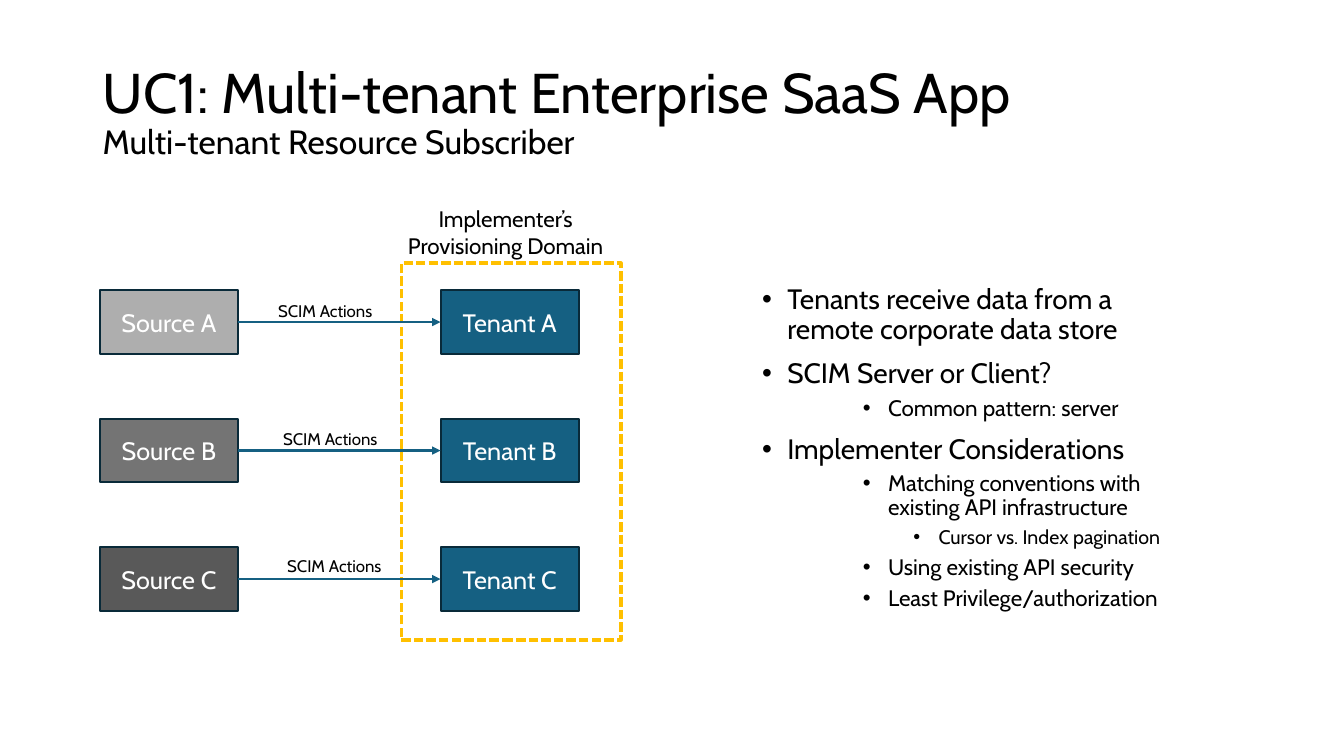
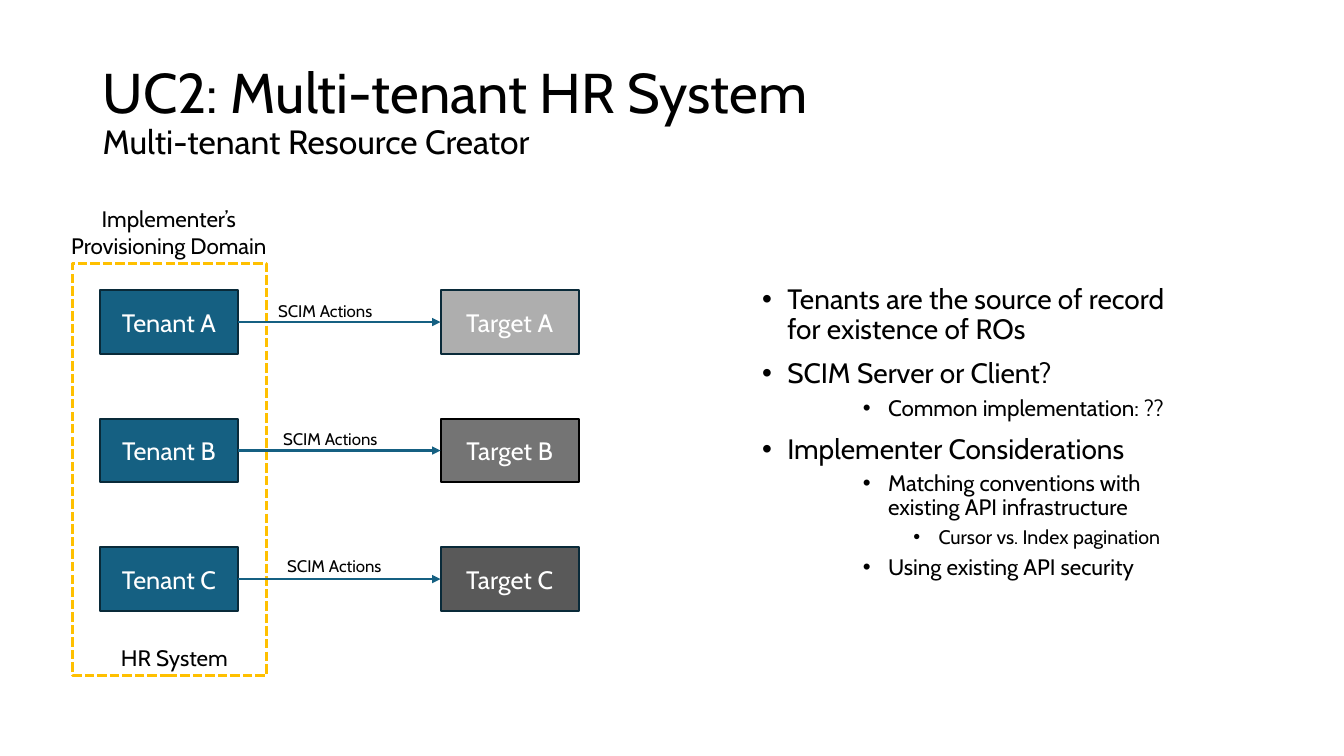
"""Build two slides on multi-tenant SCIM provisioning use cases."""
from dataclasses import dataclass
from typing import Optional

from lxml.etree import SubElement
from pptx import Presentation
from pptx.dml.color import RGBColor
from pptx.enum.dml import MSO_LINE
from pptx.enum.shapes import MSO_CONNECTOR, MSO_SHAPE
from pptx.enum.text import MSO_ANCHOR, PP_ALIGN
from pptx.oxml.ns import qn
from pptx.shapes.autoshape import Shape
from pptx.slide import Slide
from pptx.text.text import _Paragraph as Paragraph
from pptx.util import Inches, Pt

FONT = "Cabin"
BLACK = RGBColor(0x00, 0x00, 0x00)
WHITE = RGBColor(0xFF, 0xFF, 0xFF)
TEAL = RGBColor(0x15, 0x60, 0x82)
DARK_TEAL = RGBColor(0x09, 0x2A, 0x39)
AMBER = RGBColor(0xFF, 0xC0, 0x00)
GRAYS = (RGBColor(0xAE, 0xAE, 0xAE), RGBColor(0x74, 0x74, 0x74), RGBColor(0x59, 0x59, 0x59))

BOX_WIDTH, BOX_HEIGHT = 1.37, 0.63
LEFT_COLUMN, RIGHT_COLUMN = 0.99, 4.37
FIRST_ROW, LAST_ROW = 2.88, 5.43
ROW_PITCH = (LAST_ROW - FIRST_ROW) / 2
ACTION_SPOTS = ((2.66, 2.93), (2.71, 4.2), (2.75, 5.46))
RIGHT_SITE, LEFT_SITE = 3, 1


@dataclass(frozen=True)
class Area:
    """A rectangle on the slide, in inches."""
    left: float
    top: float
    width: float
    height: float

    def lengths(self) -> tuple[Inches, Inches, Inches, Inches]:
        """Return the four values as lengths."""
        return Inches(self.left), Inches(self.top), Inches(self.width), Inches(self.height)


@dataclass(frozen=True)
class Level:
    """The look of one bullet level."""
    indent: float
    size: int
    space_before: int


@dataclass(frozen=True)
class Column:
    """One column of system boxes."""
    role: str
    fills: tuple[RGBColor, ...]
    outlines: tuple[RGBColor, ...] = (DARK_TEAL,) * 3


@dataclass(frozen=True)
class Caption:
    """A centred label of the provisioning domain."""
    text: str
    area: Area


@dataclass(frozen=True)
class UseCase:
    """The content of one slide."""
    title: str
    subtitle: str
    left: Column
    right: Column
    domain: Area
    captions: tuple[Caption, ...]
    points: tuple[tuple[int, str], ...]


TITLE_AREA = Area(0.92, 0.4, 11.5, 1.45)
POINTS_AREA = Area(7.46, 2.78, 4.58, 3.41)
LEVELS = {0: Level(0.25, 20, 10), 2: Level(1.25, 16, 5), 3: Level(1.75, 14, 5)}
TENANTS = Column("Tenant", (TEAL,) * 3)
DOMAIN_NAME = "Implementer’s\nProvisioning Domain"
CONSIDERATIONS = (
    (0, "Implementer Considerations"),
    (2, "Matching conventions with existing API infrastructure"),
    (3, "Cursor vs. Index pagination"),
    (2, "Using existing API security"),
)
QUESTION = (0, "SCIM Server or Client?")

USE_CASES = (
    UseCase(
        "UC1: Multi-tenant Enterprise SaaS App", "Multi-tenant Resource Subscriber",
        Column("Source", GRAYS), TENANTS,
        Area(3.98, 2.61, 2.18, 3.74),
        (Caption(DOMAIN_NAME, Area(3.92, 1.99, 2.19, 0.64)),),
        ((0, "Tenants receive data from a remote corporate data store"), QUESTION,
         (2, "Common pattern: server"), *CONSIDERATIONS,
         (2, "Least Privilege/authorization")),
    ),
    UseCase(
        "UC2: Multi-tenant HR System", "Multi-tenant Resource Creator",
        TENANTS, Column("Target", GRAYS, (DARK_TEAL, BLACK, DARK_TEAL)),
        Area(0.72, 2.61, 1.92, 4.09),
        (Caption(DOMAIN_NAME, Area(0.58, 1.99, 2.19, 0.64)),
         Caption("HR System", Area(1.1, 6.34, 1.26, 0.37))),
        ((0, "Tenants are the source of record for existence of ROs"), QUESTION,
         (2, "Common implementation: ??"), *CONSIDERATIONS),
    ),
)


def style_runs(paragraph: Paragraph, *sizes: int, color: RGBColor = BLACK) -> None:
    """Give each run of a paragraph its size, font and colour."""
    for run, size in zip(paragraph.runs, sizes):
        run.font.name = FONT
        run.font.size = Pt(size)
        run.font.color.rgb = color


def add_text(slide: Slide, area: Area, text: str, size: int, align: PP_ALIGN) -> None:
    """Add an unwrapped label."""
    frame = slide.shapes.add_textbox(*area.lengths()).text_frame
    frame.word_wrap = False
    frame.text = text
    for paragraph in frame.paragraphs:
        paragraph.alignment = align
        style_runs(paragraph, size)


def add_title(slide: Slide, title: str, subtitle: str) -> None:
    """Add the title with its subtitle on the next line."""
    frame = slide.shapes.add_textbox(*TITLE_AREA.lengths()).text_frame
    frame.word_wrap = True
    frame.vertical_anchor = MSO_ANCHOR.MIDDLE
    heading = frame.paragraphs[0]
    heading.text = f"{title}\v{subtitle}"
    heading.line_spacing = 0.9
    style_runs(heading, 40, 24)


def add_points(slide: Slide, points: tuple[tuple[int, str], ...]) -> None:
    """Add the bulleted list."""
    frame = slide.shapes.add_textbox(*POINTS_AREA.lengths()).text_frame
    frame.word_wrap = True
    frame.text = "\n".join(text for _, text in points)
    for paragraph, (depth, _) in zip(frame.paragraphs, points):
        level = LEVELS[depth]
        paragraph.level = depth
        paragraph.line_spacing = 0.9
        paragraph.space_before = Pt(level.space_before)
        style_runs(paragraph, level.size)
        properties = paragraph._p.get_or_add_pPr()
        properties.set("marL", str(Inches(level.indent)))
        properties.set("indent", str(Inches(-0.25)))
        SubElement(properties, qn("a:buFont")).set("typeface", "Arial")
        SubElement(properties, qn("a:buChar")).set("char", "•")


def add_rectangle(slide: Slide, area: Area, fill: Optional[RGBColor],
                  outline: RGBColor, weight: float) -> Shape:
    """Add an outlined rectangle, hollow when it has no fill."""
    rectangle = slide.shapes.add_shape(MSO_SHAPE.RECTANGLE, *area.lengths())
    rectangle.shadow.inherit = False
    if fill is None:
        rectangle.fill.background()
    else:
        rectangle.fill.solid()
        rectangle.fill.fore_color.rgb = fill
    rectangle.line.color.rgb = outline
    rectangle.line.width = Pt(weight)
    return rectangle


def add_column(slide: Slide, left: float, column: Column) -> list[Shape]:
    """Add the boxes of a column from top to bottom."""
    systems = []
    for row, (letter, fill, outline) in enumerate(zip("ABC", column.fills, column.outlines)):
        area = Area(left, FIRST_ROW + row * ROW_PITCH, BOX_WIDTH, BOX_HEIGHT)
        system = add_rectangle(slide, area, fill, outline, 1.5)
        frame = system.text_frame
        frame.text = f"{column.role} {letter}"
        frame.vertical_anchor = MSO_ANCHOR.MIDDLE
        frame.paragraphs[0].alignment = PP_ALIGN.CENTER
        style_runs(frame.paragraphs[0], 18, color=WHITE)
        systems.append(system)
    return systems


def add_arrow(slide: Slide, sender: Shape, receiver: Shape) -> None:
    """Connect two boxes with an arrow."""
    arrow = slide.shapes.add_connector(MSO_CONNECTOR.STRAIGHT, 0, 0, 0, 0)
    arrow.begin_connect(sender, RIGHT_SITE)
    arrow.end_connect(receiver, LEFT_SITE)
    arrow.line.color.rgb = TEAL
    arrow.line.width = Pt(1.5)
    SubElement(arrow.line._get_or_add_ln(), qn("a:tailEnd")).set("type", "triangle")
    SubElement(arrow._element.spPr, qn("a:effectLst"))


def add_use_case(slide: Slide, case: UseCase) -> None:
    """Draw one use case."""
    add_title(slide, case.title, case.subtitle)
    add_points(slide, case.points)
    senders = add_column(slide, LEFT_COLUMN, case.left)
    receivers = add_column(slide, RIGHT_COLUMN, case.right)
    domain = add_rectangle(slide, case.domain, None, AMBER, 2.25)
    domain.line.dash_style = MSO_LINE.SQUARE_DOT
    for caption in case.captions:
        add_text(slide, caption.area, caption.text, 16, PP_ALIGN.CENTER)
    for sender, receiver, (left, top) in zip(senders, receivers, ACTION_SPOTS):
        add_arrow(slide, sender, receiver)
        add_text(slide, Area(left, top, 1.17, 0.3), "SCIM Actions", 12, PP_ALIGN.LEFT)


def main() -> None:
    """Build and save the presentation."""
    presentation = Presentation()
    presentation.slide_width = Inches(13.33)
    presentation.slide_height = Inches(7.5)
    blank = presentation.slide_layouts[6]
    for case in USE_CASES:
        add_use_case(presentation.slides.add_slide(blank), case)
    presentation.save("out.pptx")


if __name__ == "__main__":
    main()
